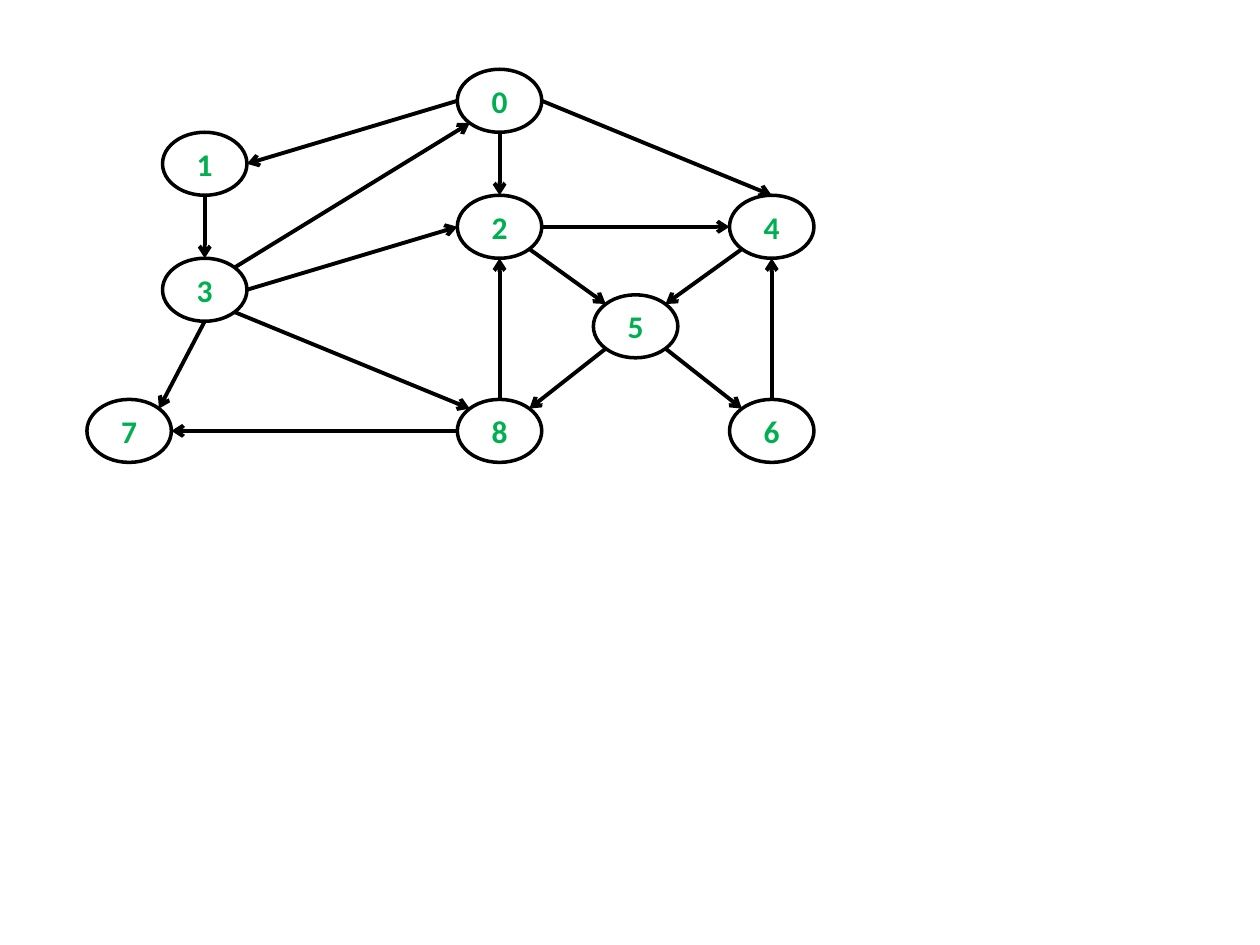
from math import cos, pi, sin

from lxml import etree
from pptx import Presentation
from pptx.dml.color import RGBColor
from pptx.enum.shapes import MSO_CONNECTOR, MSO_SHAPE
from pptx.enum.text import MSO_ANCHOR, PP_ALIGN
from pptx.oxml.ns import qn
from pptx.util import Inches, Pt

STRAIGHT = MSO_CONNECTOR.STRAIGHT
NODE_SHAPE = MSO_SHAPE.FLOWCHART_CONNECTOR
MIDDLE = MSO_ANCHOR.MIDDLE
CENTER = PP_ALIGN.CENTER

COLORS = {"line": "000000", "fill": "FFFFFF", "label": "00B050"}
FONT = "Calibri"
NODE_W, NODE_H = 0.67, 0.5
GRAPH_LEFT, GRAPH_TOP = 0.69, 0.55

SITES = ["top", "top_left", "left", "bottom_left",
         "bottom", "bottom_right", "right", "top_right"]

NODES = {
    "0": (2.94, 0), "2": (2.94, 1), "1": (0.6, 0.5),
    "3": (0.6, 1.5), "4": (5.1, 1), "7": (0, 2.62),
    "8": (2.94, 2.62), "6": (5.1, 2.62), "5": (4.02, 1.79),
}

EDGES = [
    ("0", "left", "1", "right"),
    ("0", "bottom", "2", "top"),
    ("1", "bottom", "3", "top"),
    ("3", "right", "2", "left"),
    ("3", "top_right", "0", "bottom_left"),
    ("3", "bottom", "7", "top_right"),
    ("2", "right", "4", "left"),
    ("0", "right", "4", "top"),
    ("3", "bottom_right", "8", "top_left"),
    ("8", "top", "2", "bottom"),
    ("6", "top", "4", "bottom"),
    ("4", "bottom_left", "5", "top_right"),
    ("2", "bottom_right", "5", "top_left"),
    ("5", "bottom_right", "6", "top_left"),
    ("5", "bottom_left", "8", "top_right"),
    ("8", "left", "7", "right"),
]


def rgb(name):
    """Return the named palette colour."""
    return RGBColor.from_string(COLORS[name])


def add_node(s, label, left, top):
    """Add one labelled graph node."""
    sp = s.shapes.add_shape(NODE_SHAPE, Inches(left), Inches(top),
                            Inches(NODE_W), Inches(NODE_H))
    sp.shadow.inherit = False
    sp.fill.solid()
    sp.fill.fore_color.rgb = rgb("fill")
    sp.line.color.rgb = rgb("line")
    sp.line.width = Pt(2)
    tf = sp.text_frame
    tf.text = label
    tf.vertical_anchor = MIDDLE
    p = tf.paragraphs[0]
    p.alignment = CENTER
    font = p.runs[0].font
    font.name, font.size, font.bold = FONT, Pt(18), True
    font.color.rgb = rgb("label")
    return sp


def site_point(sp, site):
    """Return the point of a connection site on a node's ellipse."""
    angle = SITES.index(site) * pi / 4
    x = sp.left + sp.width / 2 * (1 - sin(angle))
    y = sp.top + sp.height / 2 * (1 - cos(angle))
    return round(x), round(y)


def add_edge(s, start, start_site, end, end_site):
    """Add an arrow glued to the given sites of two nodes."""
    cxn = s.shapes.add_connector(STRAIGHT, *site_point(start, start_site),
                                 *site_point(end, end_site))
    cxn.line.color.rgb = rgb("line")
    cxn.line.width = Pt(2.25)
    etree.SubElement(cxn.line._get_or_add_ln(), qn("a:tailEnd"), type="arrow")
    etree.SubElement(cxn._element.spPr, qn("a:effectLst"))
    glue = cxn._element.nvCxnSpPr.cNvCxnSpPr
    for tag, sp, site in (("a:stCxn", start, start_site),
                          ("a:endCxn", end, end_site)):
        etree.SubElement(glue, qn(tag), id=str(sp.shape_id),
                         idx=str(SITES.index(site)))


def add_graph(s, left, top):
    """Draw the directed graph from its top-left corner."""
    nodes = {label: add_node(s, label, left + x, top + y)
             for label, (x, y) in NODES.items()}
    for start, start_site, end, end_site in EDGES:
        add_edge(s, nodes[start], start_site, nodes[end], end_site)


def main():
    """Build and save the slide."""
    prs = Presentation()
    prs.slide_width, prs.slide_height = Inches(10), Inches(7.5)
    s = prs.slides.add_slide(prs.slide_layouts[6])
    add_graph(s, GRAPH_LEFT, GRAPH_TOP)
    prs.save("out.pptx")


main()
